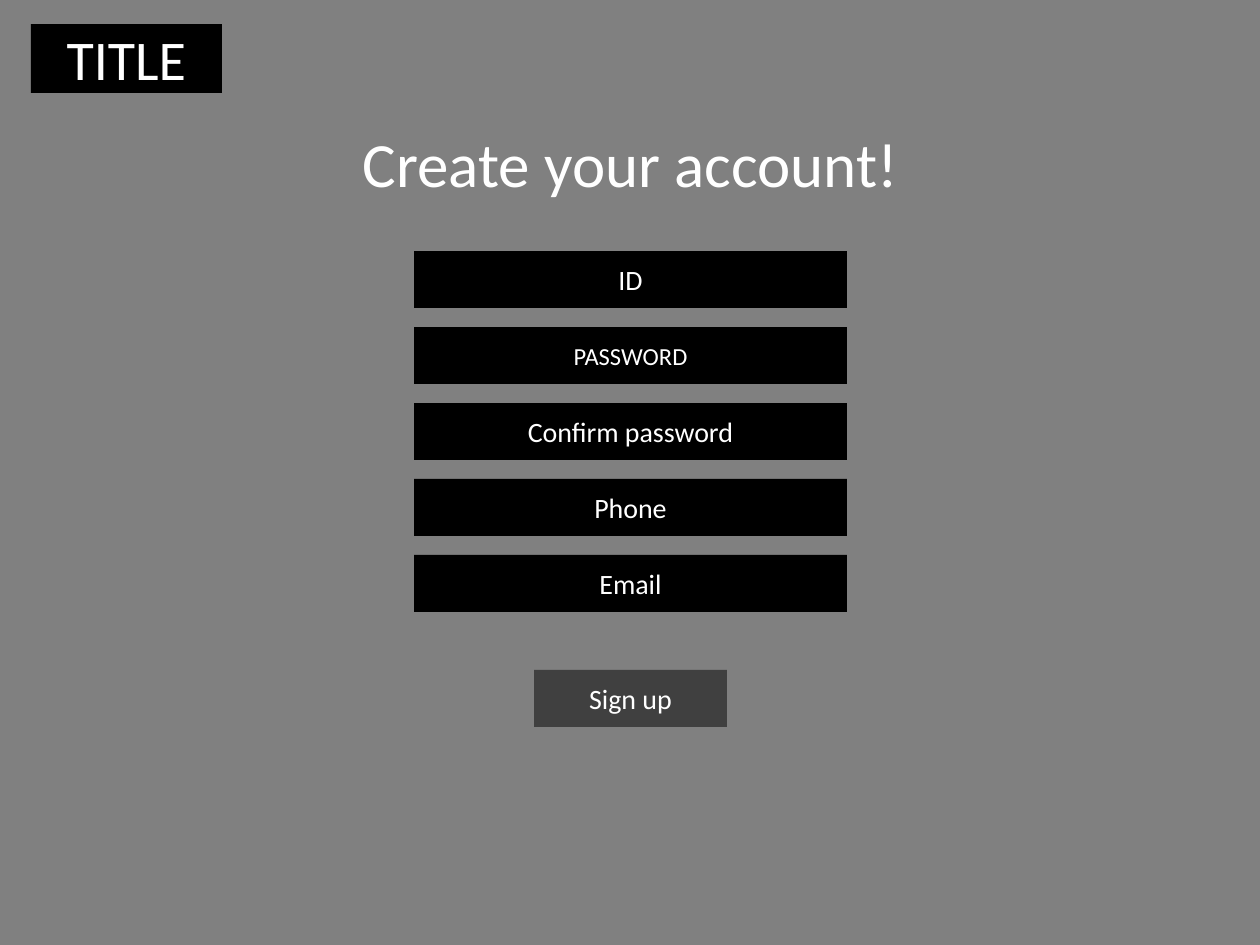
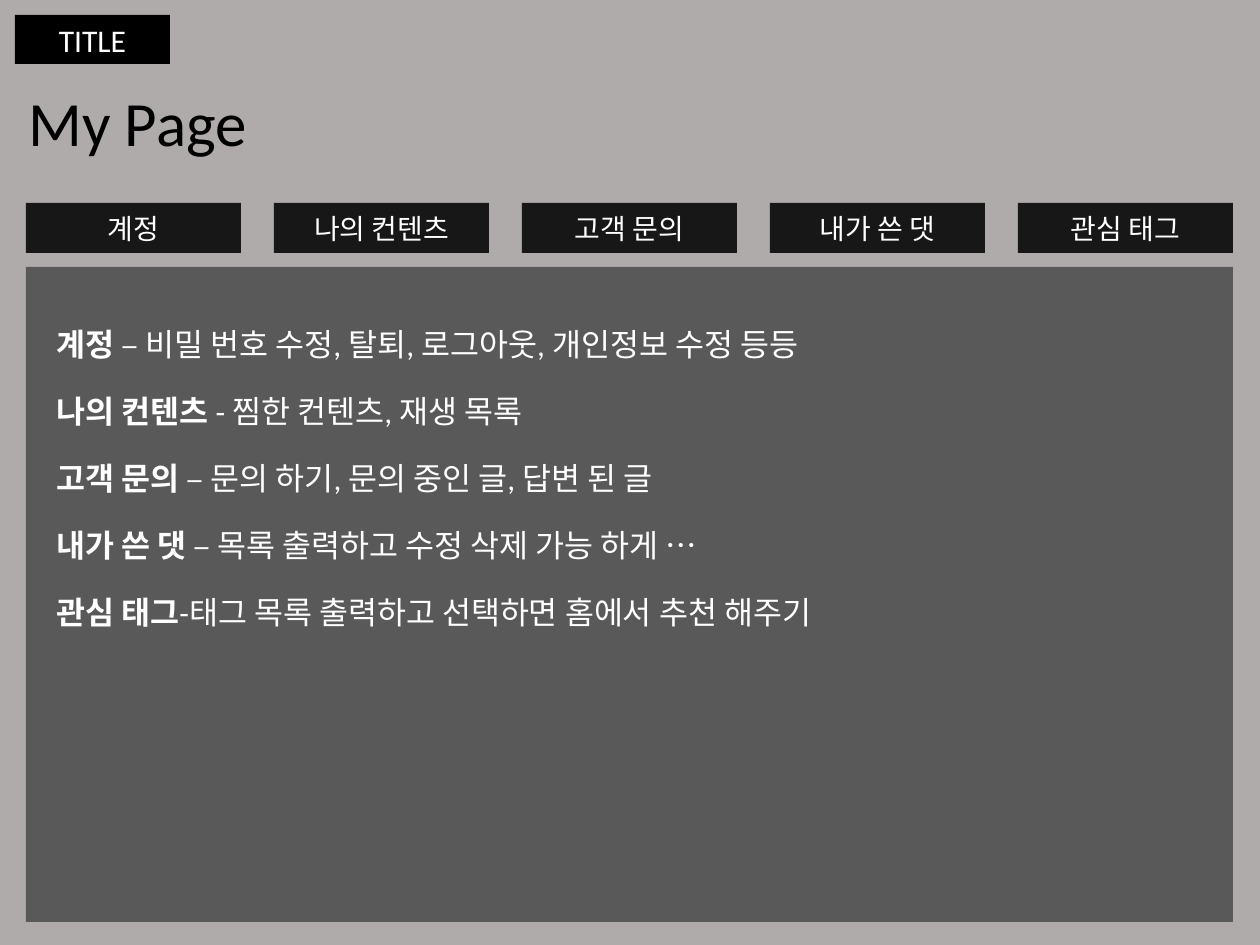
from pptx import Presentation
from pptx.dml.color import RGBColor
from pptx.enum.shapes import MSO_SHAPE
from pptx.enum.text import MSO_ANCHOR, MSO_AUTO_SIZE, PP_ALIGN
from pptx.util import Pt

SCALE = 914400 / 126
FONT = "Calibri"
COLORS = {
    "form_page": "808080",
    "my_page": "AFABAB",
    "black": "000000",
    "white": "FFFFFF",
    "button": "404040",
    "tab": "181717",
    "panel": "595959",
}


def emu(pixels):
    """Turn pixels into EMU."""
    return round(pixels * SCALE)


def color(name):
    """Look up a named colour."""
    return RGBColor.from_string(COLORS[name])


def write(shape, *spans, size=16, ink="white", align=PP_ALIGN.CENTER, anchor=MSO_ANCHOR.MIDDLE):
    """Write one paragraph of (text, bold) spans into a shape."""
    frame = shape.text_frame
    frame.word_wrap = True
    frame.vertical_anchor = anchor
    para = frame.paragraphs[0]
    para.alignment = align
    for text, bold in spans:
        span = para.add_run()
        span.text = text
        span.font.name = FONT
        span.font.size = Pt(size)
        span.font.bold = bold
        span.font.color.rgb = color(ink)


def add_block(page, box, fill, text=None, size=16):
    """Add a plain filled rectangle with an optional centred label."""
    shape = page.shapes.add_shape(MSO_SHAPE.RECTANGLE, *map(emu, box))
    shape.shadow.inherit = False
    shape.fill.solid()
    shape.fill.fore_color.rgb = color(fill)
    shape.line.fill.background()
    if text:
        write(shape, (text, False), size=size)


def add_text(page, box, *spans, align=PP_ALIGN.LEFT, **style):
    """Add a text box that grows with its text."""
    shape = page.shapes.add_textbox(*map(emu, box))
    write(shape, *spans, align=align, anchor=MSO_ANCHOR.TOP, **style)
    shape.text_frame.auto_size = MSO_AUTO_SIZE.SHAPE_TO_FIT_TEXT


def add_page(deck, background, badge_box, badge_size):
    """Add a blank page with its background and site title badge."""
    page = deck.slides.add_slide(deck.slide_layouts[6])
    page.background.fill.solid()
    page.background.fill.fore_color.rgb = color(background)
    add_block(page, badge_box, "black", "TITLE", badge_size)
    return page


def add_fields(page, box, fields):
    """Stack labelled input fields evenly down the box."""
    left, top, width, height = box
    field_height = 57
    pitch = (height - field_height) / (len(fields) - 1)
    for index, (label, size) in enumerate(fields):
        add_block(page, (left, top + index * pitch, width, field_height), "black", label, size)


def add_tabs(page, box, labels):
    """Spread tabs evenly across the box."""
    left, top, width, height = box
    tab_width = 215
    pitch = (width - tab_width) / (len(labels) - 1)
    for index, label in enumerate(labels):
        add_block(page, (left + index * pitch, top, tab_width, height), "tab", label)


def add_panel(page, box, entries):
    """Add the content panel with one line for each section."""
    left, top, width, height = box
    add_block(page, box, "panel")
    for index, (heading, detail) in enumerate(entries):
        row = (left + 18, top + 52 + index * 67, 880, 50)
        add_text(page, row, (heading, True), (detail, False), size=18)


def build_sign_up(deck):
    """Build the account creation page."""
    page = add_page(deck, "form_page", (31, 24, 191, 69), 32)
    add_text(page, (311, 118, 639, 89), ("Create your account!", False),
             size=36, align=PP_ALIGN.CENTER)
    add_fields(page, (414, 251, 433, 361), [
        ("ID", 16),
        ("PASSWORD", 14),
        ("Confirm password", 16),
        ("Phone", 16),
        ("Email", 16),
    ])
    add_block(page, (534, 670, 193, 57), "button", "Sign up")


def build_my_page(deck):
    """Build the member page with its tabs and panel."""
    page = add_page(deck, "my_page", (15, 15, 155, 49), 18)
    add_text(page, (16, 77, 281, 89), ("My Page", False), size=36, ink="black")
    entries = [
        ("계정 ", "– 비밀 번호 수정, 탈퇴, 로그아웃, 개인정보 수정 등등 "),
        ("나의 컨텐츠 ", "- 찜한 컨텐츠, 재생 목록"),
        ("고객 문의 ", "– 문의 하기, 문의 중인 글, 답변 된 글 "),
        ("내가 쓴 댓 ", "– 목록 출력하고 수정 삭제 가능 하게 …"),
        ("관심 태그", "-태그 목록 출력하고 선택하면 홈에서 추천 해주기"),
    ]
    add_tabs(page, (26, 203, 1207, 50), [heading.strip() for heading, detail in entries])
    add_panel(page, (26, 267, 1207, 655), entries)


def main():
    """Build and save the deck."""
    deck = Presentation()
    deck.slide_width = emu(1260)
    deck.slide_height = emu(945)
    build_sign_up(deck)
    build_my_page(deck)
    deck.save("out.pptx")


main()
